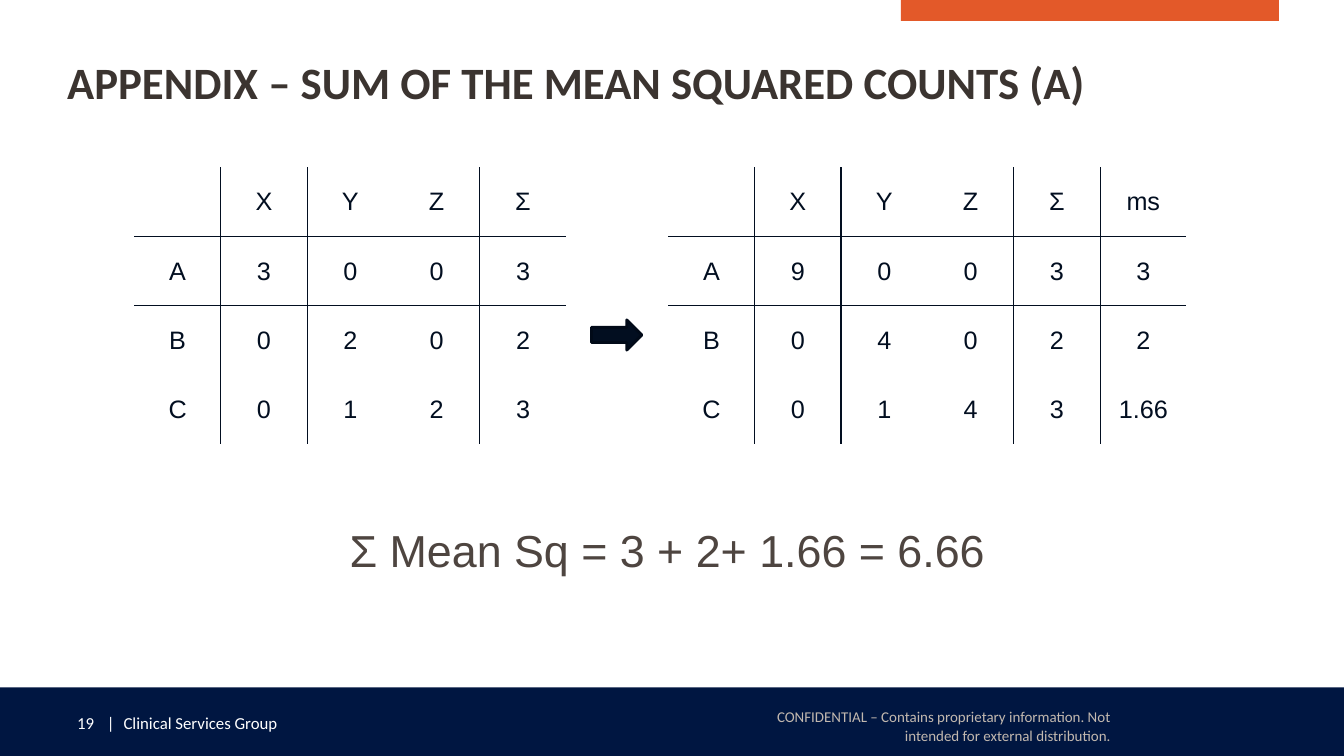
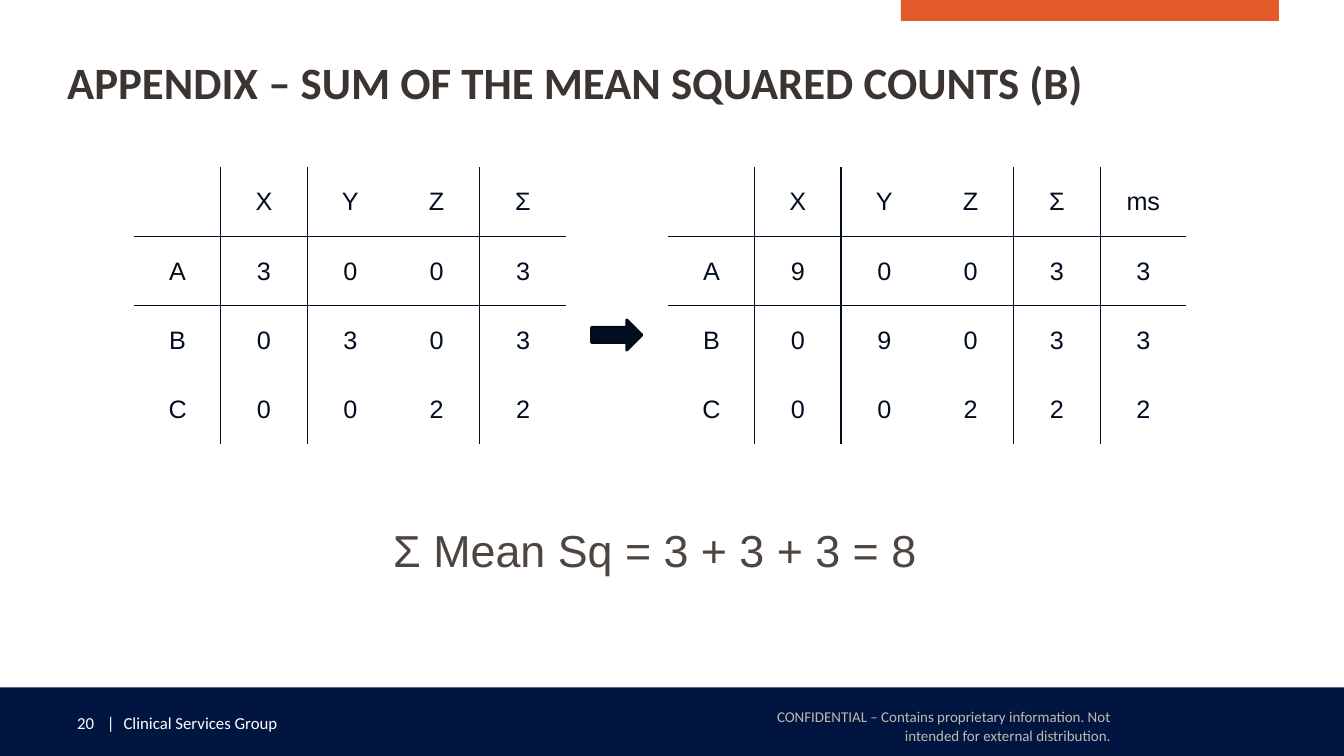
from lxml import etree
from pptx import Presentation
from pptx import util as u
from pptx.dml import color
from pptx.enum import shapes, text
from pptx.oxml import ns

Pt = u.Pt
ORANGE, NAVY, WHITE, SAND = "E35929", "001641", "FFFFFF", "C2B8AF"
TITLE_INK, TABLE_INK, FORMULA_INK, ARROW_EDGE = "3B3430", "020E20", "4E4540", "010A18"
PLAIN_TABLE_STYLE = "{2D5ABB26-0587-4C30-8999-92F81FD0307C}"
CELL_WIDTH, CELL_HEIGHT, TABLE_TOP = 61.7, 49.5, 119.5
DEFAULT_MARGINS = (7.2, 3.6, 7.2, 3.6)


def rgb(value):
    return color.RGBColor.from_string(value)


def write(frame, content, size=18, font="Arial", ink=TABLE_INK, bold=False,
          align=text.PP_ALIGN.LEFT, spacing=1.0):
    paragraph = frame.paragraphs[0]
    paragraph.alignment = align
    paragraph.line_spacing = spacing
    run = paragraph.add_run()
    run.text = content
    run.font.size = Pt(size)
    run.font.name = font
    run.font.bold = bold
    run.font.color.rgb = rgb(ink)
    return paragraph


def set_tabs(paragraph, *positions):
    tabs = etree.SubElement(paragraph._p.get_or_add_pPr(), ns.qn("a:tabLst"))
    for position in positions:
        etree.SubElement(tabs, ns.qn("a:tab"), pos=str(Pt(position)), algn="l")


def set_borders(cell, visible):
    properties = cell._tc.get_or_add_tcPr()
    for side in "LRTB":
        line = etree.SubElement(properties, ns.qn(f"a:ln{side}"), w=str(Pt(1)))
        if side in visible:
            fill = etree.SubElement(line, ns.qn("a:solidFill"))
            etree.SubElement(fill, ns.qn("a:srgbClr"), val=TABLE_INK)
        else:
            etree.SubElement(line, ns.qn("a:noFill"))


class Deck:
    def __init__(self):
        self.presentation = Presentation()
        self.presentation.slide_width = Pt(960)
        self.presentation.slide_height = Pt(540)
        self.slide = None

    def new_slide(self, number, title):
        self.slide = self.presentation.slides.add_slide(self.presentation.slide_layouts[5])
        self.shape(643.5, 0, 270, 15, ORANGE)
        self.shape(0, 491, 960, 49, NAVY)
        footer = self.label(f"{number}\t|\tClinical Services Group", 48, 505.5, 318, 21.6,
                            size=12, font="Calibri", ink=WHITE)
        set_tabs(footer, 21.3, 33.2)
        self.label("CONFIDENTIAL – Contains proprietary information. Not intended for "
                   "external distribution.", 533, 485.5, 270, 64.8,
                   margins=(9.6, 4.8, 9.6, 4.8), anchor=text.MSO_ANCHOR.MIDDLE,
                   size=10.7, font="Calibri", ink=SAND,
                   align=text.PP_ALIGN.RIGHT, spacing=1.1)
        self.title(title)

    def title(self, content):
        shape = self.slide.shapes.title
        shape.left, shape.top, shape.width, shape.height = map(Pt, (48, 26, 864, 64))
        self.format_frame(shape.text_frame, (0, 3.6, 7.2, 3.6), text.MSO_ANCHOR.MIDDLE)
        write(shape.text_frame, content, size=32, font="Calibri", ink=TITLE_INK, bold=True)

    def format_frame(self, frame, margins, anchor, wrap=True):
        frame.auto_size = text.MSO_AUTO_SIZE.NONE
        frame.word_wrap = wrap
        frame.vertical_anchor = anchor
        (frame.margin_left, frame.margin_top,
         frame.margin_right, frame.margin_bottom) = map(Pt, margins)

    def shape(self, left, top, width, height, fill, kind=shapes.MSO_SHAPE.RECTANGLE, edge=None):
        shape = self.slide.shapes.add_shape(kind, *map(Pt, (left, top, width, height)))
        shape.shadow.inherit = False
        shape.fill.solid()
        shape.fill.fore_color.rgb = rgb(fill)
        if edge:
            shape.line.color.rgb = rgb(edge)
            shape.line.width = Pt(2)
        else:
            shape.line.fill.background()

    def label(self, content, left, top, width, height, margins=DEFAULT_MARGINS,
              anchor=text.MSO_ANCHOR.TOP, wrap=True, **style):
        box = self.slide.shapes.add_textbox(*map(Pt, (left, top, width, height)))
        self.format_frame(box.text_frame, margins, anchor, wrap)
        return write(box.text_frame, content, **style)

    def table(self, left, rows, lines_after_columns, lines_after_rows=(0, 1)):
        columns = len(rows[0])
        frame = self.slide.shapes.add_table(
            len(rows), columns, Pt(left), Pt(TABLE_TOP),
            Pt(CELL_WIDTH * columns), Pt(CELL_HEIGHT * len(rows)))
        table = frame.table
        table.first_row = table.horz_banding = False
        table._tbl.tblPr.find(ns.qn("a:tableStyleId")).text = PLAIN_TABLE_STYLE
        for column in table.columns:
            column.width = Pt(CELL_WIDTH)
        for row in table.rows:
            row.height = Pt(CELL_HEIGHT)
        for i, values in enumerate(rows):
            for j, value in enumerate(values):
                cell = table.cell(i, j)
                cell.vertical_anchor = text.MSO_ANCHOR.MIDDLE
                sides = {"L": j - 1 in lines_after_columns, "R": j in lines_after_columns,
                         "T": i - 1 in lines_after_rows, "B": i in lines_after_rows}
                set_borders(cell, [side for side, shown in sides.items() if shown])
                cell.fill.background()
                if value:
                    write(cell.text_frame, value, align=text.PP_ALIGN.CENTER)

    def calculation(self, counts, squares, formula, formula_left):
        header = ["", "X", "Y", "Z", "Σ"]
        self.table(96, [header] + [line.split() for line in counts], (0, 1, 3))
        self.table(477.4, [header + ["ms"]] + [line.split() for line in squares], (0, 1, 3, 4))
        self.shape(422.5, 228.5, 36, 21.6, TABLE_INK, shapes.MSO_SHAPE.RIGHT_ARROW, ARROW_EDGE)
        self.label(formula, formula_left, 370, 467, 52, wrap=False,
                   size=32, ink=FORMULA_INK, align=text.PP_ALIGN.CENTER)


def main():
    deck = Deck()
    deck.new_slide(19, "APPENDIX – SUM OF THE MEAN SQUARED COUNTS (A)")
    deck.calculation(["A 3 0 0 3", "B 0 2 0 2", "C 0 1 2 3"],
                     ["A 9 0 0 3 3", "B 0 4 0 2 2", "C 0 1 4 3 1.66"],
                     "Σ Mean Sq = 3 + 2+ 1.66 = 6.66", 243.4)
    deck.new_slide(20, "APPENDIX – SUM OF THE MEAN SQUARED COUNTS (B)")
    deck.calculation(["A 3 0 0 3", "B 0 3 0 3", "C 0 0 2 2"],
                     ["A 9 0 0 3 3", "B 0 9 0 3 3", "C 0 0 2 2 2"],
                     "Σ Mean Sq = 3 + 3 + 3 = 8", 234.5)
    deck.presentation.save("out.pptx")


if __name__ == "__main__":
    main()
